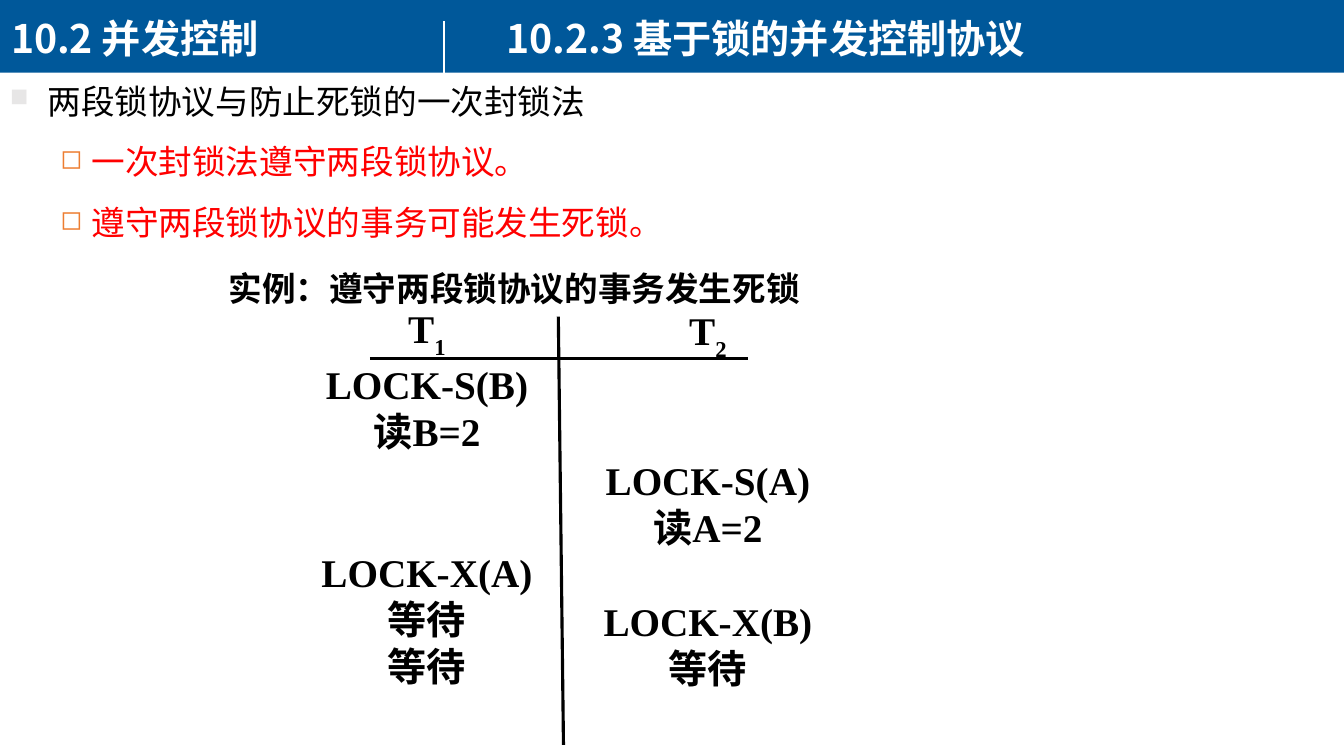
from lxml.etree import SubElement
from pptx import Presentation
from pptx.dml.color import RGBColor
from pptx.enum.shapes import MSO_CONNECTOR as Connector, MSO_SHAPE as Shape
from pptx.enum.text import PP_ALIGN as Align
from pptx.oxml.ns import qn
from pptx.util import Cm, Pt

BLUE = RGBColor(0x00, 0x58, 0x9A)
WHITE = RGBColor(0xFF, 0xFF, 0xFF)
BLACK = RGBColor(0x00, 0x00, 0x00)
RED = RGBColor(0xFF, 0x00, 0x00)
GREY = RGBColor(0xE7, 0xE6, 0xE6)
ORANGE = RGBColor(0xED, 0x7D, 0x31)
SANS = "Noto Sans CJK SC"
SERIF = "Times New Roman"
LINE_RATIO = 1.2
SCHEDULE_SIZE = 28


def add_frame(slide, left, top, width, height):
    """Add a wrapping text box and return its text frame."""
    frame = slide.shapes.add_textbox(Cm(left), Cm(top), Cm(width), Cm(height)).text_frame
    frame.word_wrap = True
    return frame


def add_bullet(paragraph, char, color, percent, margin, indent):
    """Give a paragraph a coloured bullet with a hanging indent."""
    properties = paragraph._p.get_or_add_pPr()
    properties.set("marL", str(Cm(margin)))
    properties.set("indent", str(-Cm(indent)))
    bullet_color = SubElement(properties, qn("a:buClr"))
    SubElement(bullet_color, qn("a:srgbClr"), val=str(color))
    SubElement(properties, qn("a:buSzPct"), val=str(percent * 1000))
    SubElement(properties, qn("a:buChar"), char=char)


def write_line(frame, text, size=24, color=BLACK, font=SANS, bold=False,
               align=Align.LEFT, before=0, bullet=None, subscript=""):
    """Write one paragraph, with an optional bullet and subscript."""
    first = frame.paragraphs[0]
    paragraph = frame.add_paragraph() if first.runs else first
    if bullet:
        add_bullet(paragraph, *bullet)
    paragraph.alignment = align
    paragraph.line_spacing = Pt(size * LINE_RATIO)
    paragraph.space_before = Pt(before)
    for part in filter(None, (text, subscript)):
        run = paragraph.add_run()
        run.text = part
        run.font.size = Pt(size)
        run.font.bold = bold
        run.font.name = font
        run.font.color.rgb = color
        properties = run.font._element
        SubElement(properties, qn("a:ea"), typeface=SANS)
        if part == subscript:
            properties.set("baseline", "-30000")


def add_rule(slide, start, end, color, weight):
    """Draw a straight line without a shadow."""
    rule = slide.shapes.add_connector(Connector.STRAIGHT, *map(Cm, start + end))
    rule.line.color.rgb = color
    rule.line.width = Pt(weight)
    SubElement(rule._element.spPr, qn("a:effectLst"))


def add_header(slide, chapter, section):
    """Draw the header band with its two titles and divider."""
    band = slide.shapes.add_shape(Shape.RECTANGLE, 0, Cm(-0.05), Cm(33.87), Cm(1.88))
    band.shadow.inherit = False
    band.fill.solid()
    band.fill.fore_color.rgb = BLUE
    band.line.fill.background()
    for title, left, width in ((chapter, 0.03, 12.04), (section, 12.52, 18.85)):
        frame = add_frame(slide, left, 0.23, width, 1.45)
        write_line(frame, title, size=28, color=WHITE, bold=True)
    add_rule(slide, (11.18, 0.53), (11.18, 2.01), WHITE, 1.5)


def add_schedule(slide, number, steps, left, top, width):
    """Write one transaction's steps, each after a count of idle lines."""
    frame = add_frame(slide, left, top, width, 10.8)
    style = dict(size=SCHEDULE_SIZE, font=SERIF, bold=True, align=Align.CENTER)
    write_line(frame, "T", subscript=number, **style)
    for idle, step in steps:
        write_line(frame, step, before=idle * SCHEDULE_SIZE * LINE_RATIO, **style)


def main():
    """Build and save the slide."""
    deck = Presentation()
    deck.slide_width, deck.slide_height = Cm(33.87), Cm(19.05)
    slide = deck.slides.add_slide(deck.slide_layouts[6])
    add_header(slide, "10.2 并发控制", "10.2.3 基于锁的并发控制协议")

    points = add_frame(slide, 0, 1.91, 18.6, 4.72)
    write_line(points, "两段锁协议与防止死锁的一次封锁法", bullet=("■", GREY, 75, 0.95, 0.95))
    for point in ("一次封锁法遵守两段锁协议。", "遵守两段锁协议的事务可能发生死锁。"):
        write_line(points, point, color=RED, before=14.4, bullet=("◻", ORANGE, 80, 2.06, 0.79))

    example = add_frame(slide, 5.51, 6.63, 21.59, 1.3)
    write_line(example, "实例：遵守两段锁协议的事务发生死锁", bold=True)

    first_steps = ((0, "LOCK-S(B)"), (0, "读B=2"), (2, "LOCK-X(A)"), (0, "等待"), (0, "等待"))
    second_steps = ((2, "LOCK-S(A)"), (0, "读A=2"), (1, "LOCK-X(B)"), (0, "等待"))
    add_schedule(slide, "1", first_steps, 7.75, 7.76, 6.02)
    add_schedule(slide, "2", second_steps, 14.5, 7.81, 6.68)
    add_rule(slide, (9.32, 9.04), (18.85, 9.04), BLACK, 2.25)
    add_rule(slide, (14.07, 7.98), (14.2, 18.77), BLACK, 2.25)
    deck.save("out.pptx")


if __name__ == "__main__":
    main()
